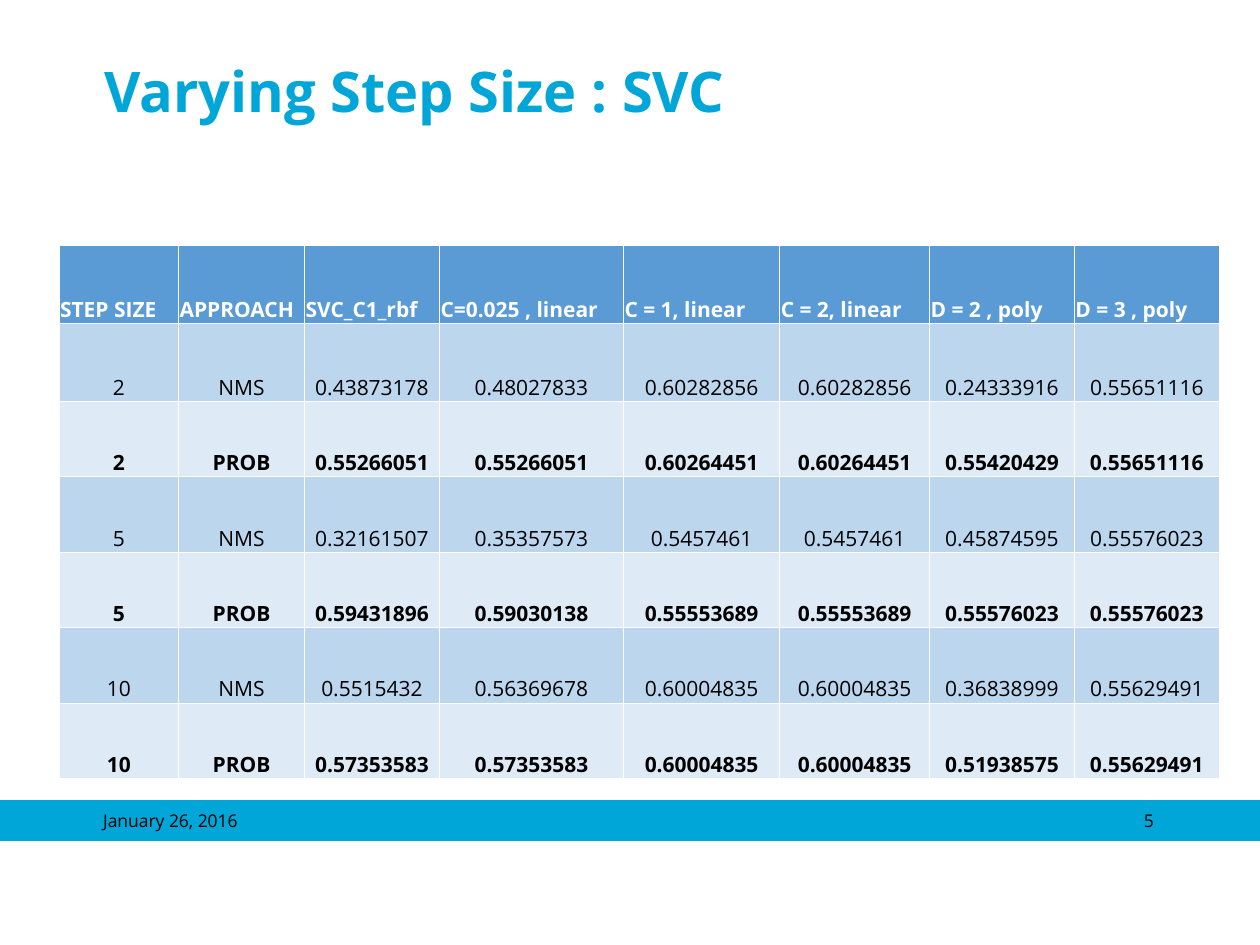
from lxml.etree import SubElement
from pptx import Presentation
from pptx.dml.color import RGBColor
from pptx.enum.shapes import MSO_SHAPE
from pptx.enum.text import MSO_ANCHOR, PP_ALIGN
from pptx.oxml.ns import qn
from pptx.util import Cm, Pt

FONT = "Open Sans"
CYAN = RGBColor(0x00, 0xA6, 0xD7)
BLACK = RGBColor(0x00, 0x00, 0x00)
WHITE = RGBColor(0xFF, 0xFF, 0xFF)
HEADER_BLUE = RGBColor(0x5B, 0x9B, 0xD5)
BAND_DARK = RGBColor(0xBC, 0xD6, 0xEE)
BAND_LIGHT = RGBColor(0xDE, 0xEB, 0xF6)

TABLE_TOP = 4.95
ROW_HEIGHTS = [1.57] * 2 + [1.52] * 5
APPROACH_WIDTHS = [2.41, 2.54]
SCORE_WIDTHS = [2.72, 3.71, 3.15, 3.02, 2.92, 2.92]

APPROACH_ROWS = [["STEP SIZE", "APPROACH"]] + [
    [step, approach] for step in ("2", "5", "10") for approach in ("NMS", "PROB")
]
SCORE_ROWS = [
    ["SVC_C1_rbf", "C=0.025 , linear", "C = 1, linear", "C = 2, linear", "D = 2 , poly", "D = 3 , poly"],
    ["0.43873178", "0.48027833", "0.60282856", "0.60282856", "0.24333916", "0.55651116"],
    ["0.55266051", "0.55266051", "0.60264451", "0.60264451", "0.55420429", "0.55651116"],
    ["0.32161507", "0.35357573", "0.5457461", "0.5457461", "0.45874595", "0.55576023"],
    ["0.59431896", "0.59030138", "0.55553689", "0.55553689", "0.55576023", "0.55576023"],
    ["0.5515432", "0.56369678", "0.60004835", "0.60004835", "0.36838999", "0.55629491"],
    ["0.57353583", "0.57353583", "0.60004835", "0.60004835", "0.51938575", "0.55629491"],
]


def write_text(text_frame, text, size, color, bold=False, align=PP_ALIGN.LEFT):
    text_frame.text = text
    paragraph = text_frame.paragraphs[0]
    paragraph.alignment = align
    font = paragraph.runs[0].font
    font.name, font.size, font.bold = FONT, Pt(size), bold
    font.color.rgb = color


def set_frame(text_frame):
    text_frame.word_wrap = True
    text_frame.vertical_anchor = MSO_ANCHOR.TOP
    text_frame.margin_left = text_frame.margin_right = 0
    text_frame.margin_top = text_frame.margin_bottom = Cm(0.13)


def add_title(slide, text):
    title = slide.shapes.title
    title.left, title.top, title.width, title.height = Cm(2.1), Cm(1), Cm(21.6), Cm(3.18)
    set_frame(title.text_frame)
    write_text(title.text_frame, text, 32, CYAN, bold=True)


def add_footer_bar(slide):
    bar = slide.shapes.add_shape(MSO_SHAPE.RECTANGLE, 0, Cm(16.15), Cm(25.4), Cm(0.8))
    bar.shadow.inherit = False
    bar.fill.solid()
    bar.fill.fore_color.rgb = CYAN
    bar.line.color.rgb = CYAN
    bar.line.width = Pt(0.75)


def add_footer_text(slide, text, left, height, align):
    box = slide.shapes.add_textbox(Cm(left), Cm(16.2), Cm(5.28), Cm(height))
    set_frame(box.text_frame)
    write_text(box.text_frame, text, 10, BLACK, align=align)


def add_borders(cell):
    properties = cell._tc.get_or_add_tcPr()
    for side in ("a:lnL", "a:lnR", "a:lnT", "a:lnB"):
        line = SubElement(properties, qn(side), w=str(Pt(0.5)))
        fill = SubElement(line, qn("a:solidFill"))
        SubElement(fill, qn("a:srgbClr"), val=str(WHITE))


def format_cell(cell, text, row_index):
    is_header = row_index == 0
    is_light = row_index % 2 == 0
    add_borders(cell)
    cell.fill.solid()
    cell.fill.fore_color.rgb = HEADER_BLUE if is_header else BAND_LIGHT if is_light else BAND_DARK
    cell.vertical_anchor = MSO_ANCHOR.BOTTOM
    cell.margin_left = cell.margin_right = cell.margin_top = Cm(0.02)
    cell.margin_bottom = 0
    write_text(
        cell.text_frame, text, 12, WHITE if is_header else BLACK,
        bold=is_light, align=PP_ALIGN.LEFT if is_header else PP_ALIGN.CENTER,
    )


def add_results_table(slide, rows, left, widths):
    table = slide.shapes.add_table(
        len(rows), len(widths), Cm(left), Cm(TABLE_TOP), Cm(sum(widths)), Cm(sum(ROW_HEIGHTS))
    ).table
    for column, width in zip(table.columns, widths):
        column.width = Cm(width)
    for row_index, (row, height) in enumerate(zip(table.rows, ROW_HEIGHTS)):
        row.height = Cm(height)
        for cell, text in zip(row.cells, rows[row_index]):
            format_cell(cell, text, row_index)


def main():
    presentation = Presentation()
    presentation.slide_width, presentation.slide_height = Cm(25.4), Cm(19.05)
    slide = presentation.slides.add_slide(presentation.slide_layouts[5])
    add_footer_bar(slide)
    add_title(slide, "Varying Step Size : SVC")
    add_footer_text(slide, "January 26, 2016", 2.08, 0.84, PP_ALIGN.LEFT)
    add_footer_text(slide, "5", 17.98, 0.64, PP_ALIGN.RIGHT)
    approach_left = 1.19
    add_results_table(slide, SCORE_ROWS, approach_left + sum(APPROACH_WIDTHS), SCORE_WIDTHS)
    add_results_table(slide, APPROACH_ROWS, approach_left, APPROACH_WIDTHS)
    presentation.save("out.pptx")


main()
